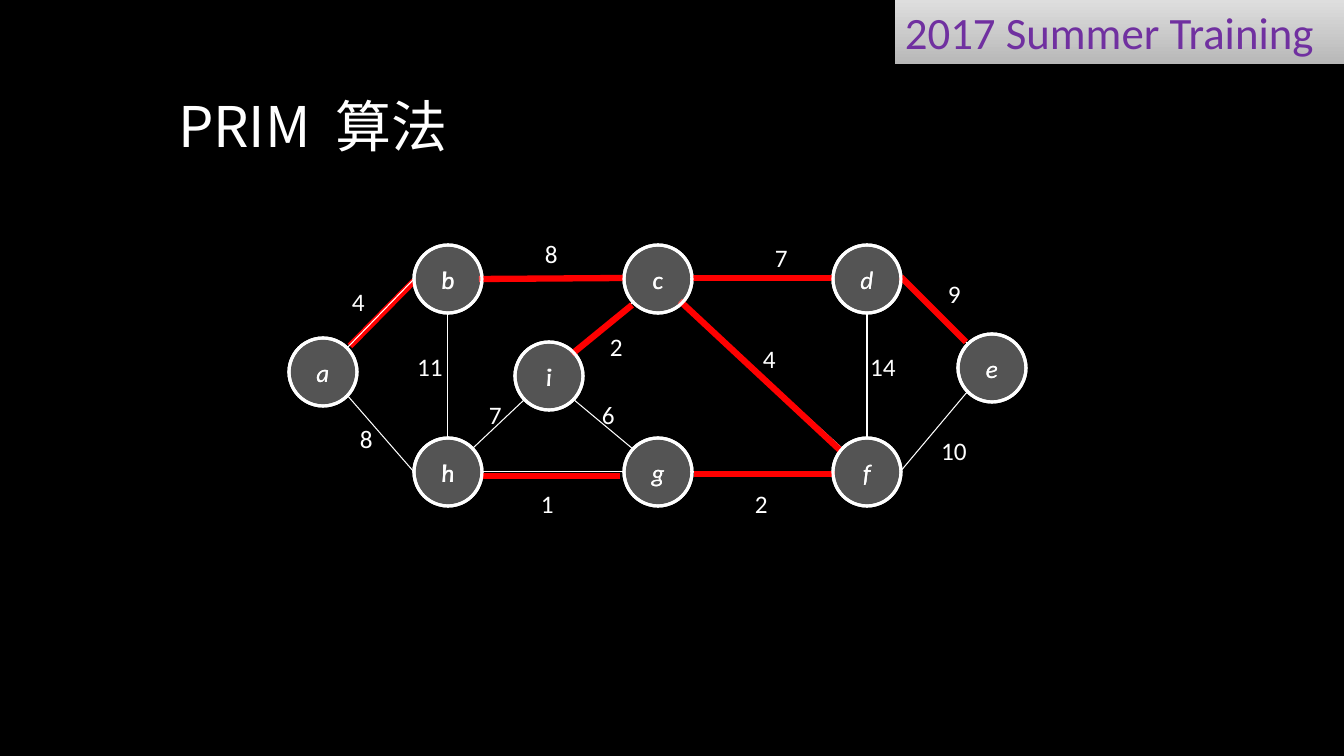
from lxml import etree
from pptx import Presentation
from pptx import util as u
from pptx.dml.color import RGBColor
from pptx.enum import shapes, text
from pptx.oxml import ns

EMU_PER_PX = 914400 / 100.8
BLACK = RGBColor(0x00, 0x00, 0x00)
WHITE = RGBColor(0xFF, 0xFF, 0xFF)
RED = RGBColor(0xFF, 0x00, 0x00)
PURPLE = RGBColor(0x70, 0x30, 0xA0)
VEIL = RGBColor(0xF8, 0xF8, 0xF8)
BANNER_TOP = RGBColor(0xDE, 0xDE, 0xDE)
BANNER_BOTTOM = RGBColor(0xB8, 0xB8, 0xB8)
BODY_FONT, TITLE_FONT = "Calibri", "Noto Sans CJK JP"

# Graph nodes: name -> left, top
NODE_SIZE = 68
COL_1, COL_2, COL_3 = 414, 624, 833
ROW_TOP, ROW_BOTTOM = 245, 438
NODES = {
    "b": (COL_1, ROW_TOP), "c": (COL_2, ROW_TOP), "h": (COL_1, ROW_BOTTOM),
    "i": (515, 342), "f": (COL_3, ROW_BOTTOM), "a": (289, 338),
    "e": (958, 334), "d": (COL_3, ROW_TOP), "g": (COL_2, ROW_BOTTOM),
}
UPRIGHT = "bchi"

# Edges: x1, y1, x2, y2
FIRST_TREE_EDGE = (350, 346, 414, 281)
EDGES = [
    (414, 279, 347, 348), (624, 279, 482, 279), (414, 472, 347, 395),
    (690, 279, 833, 279), (482, 472, 624, 472), (633, 302, 573, 352),
    (525, 399, 472, 449), (448, 312, 448, 438), (900, 279, 968, 344),
    (690, 472, 833, 472), (867, 312, 867, 438), (681, 302, 843, 449),
    (573, 399, 633, 449), (968, 391, 900, 472),
]
TREE_EDGES = [
    (479, 279, 624, 278), (572, 354, 632, 305), (483, 476, 620, 476),
    (692, 278, 833, 278), (680, 301, 841, 451), (694, 474, 835, 474),
    (901, 277, 966, 342),
]

# Edge weights: text, centre x, top
WEIGHTS = [
    ("4", 358, 281), ("8", 551, 233), ("8", 366, 418), ("4", 769, 338),
    ("14", 883, 346), ("7", 781, 237), ("9", 954, 273), ("10", 954, 430),
    ("6", 608, 394), ("7", 495, 394), ("2", 616, 326), ("11", 430, 346),
    ("1", 547, 483), ("2", 761, 483),
]


def px(*values):
    return [u.Emu(round(v * EMU_PER_PX)) for v in values]


def apply(target, formats):
    for name, value in formats.items():
        setattr(target, name, value)


def add_run(p, content, color, **formats):
    r = p.add_run()
    r.text = content
    apply(r.font, {"name": BODY_FONT, "size": u.Pt(18), **formats})
    r.font.color.rgb = color
    return r


def add_title(slide):
    sp = slide.shapes.title
    left, top, width, height = px(168, 62, 757, 126)
    apply(sp, {"left": left, "top": top, "width": width, "height": height})
    tf = sp.text_frame
    apply(tf, {"vertical_anchor": text.MSO_ANCHOR.MIDDLE, "word_wrap": True})
    p = tf.paragraphs[0]
    p.alignment = text.PP_ALIGN.LEFT
    # The gap between the two scripts is widened by character spacing
    for content, spacing in (("PRIM", 0), (" ", 900), ("算法", 0)):
        r = add_run(p, content, WHITE, name=TITLE_FONT, size=u.Pt(40))
        rPr = r.font._element
        rPr.set("spc", str(spacing))
        etree.SubElement(rPr, ns.qn("a:ea"), typeface=TITLE_FONT)


def add_banner(slide):
    sp = slide.shapes.add_shape(shapes.MSO_SHAPE.RECTANGLE, *px(895, 0, 449, 64))
    sp.shadow.inherit = False
    sp.line.fill.background()
    sp.fill.gradient()
    sp.fill.gradient_angle = 270
    for stop, color, position in zip(sp.fill.gradient_stops,
                                     (BANNER_TOP, BANNER_BOTTOM), (0, 1)):
        stop.color.rgb = color
        stop.position = position
    tf = sp.text_frame
    apply(tf, {"vertical_anchor": text.MSO_ANCHOR.TOP, "word_wrap": True})
    p = tf.paragraphs[0]
    p.alignment = text.PP_ALIGN.LEFT
    add_run(p, "2017 Summer Training", PURPLE, size=u.Pt(32))


def add_node(slide, name, fill, italic, opacity=None):
    left, top = NODES[name]
    sp = slide.shapes.add_shape(shapes.MSO_SHAPE.OVAL,
                                *px(left, top, NODE_SIZE, NODE_SIZE))
    sp.shadow.inherit = False
    sp.fill.solid()
    sp.fill.fore_color.rgb = fill
    if opacity:
        color = sp._element.spPr.find(".//" + ns.qn("a:srgbClr"))
        etree.SubElement(color, ns.qn("a:alpha"), val=str(opacity * 1000))
    sp.line.color.rgb = WHITE
    sp.line.width = u.Pt(2.25)
    tf = sp.text_frame
    apply(tf, {"vertical_anchor": text.MSO_ANCHOR.MIDDLE, "word_wrap": False})
    p = tf.paragraphs[0]
    p.alignment = text.PP_ALIGN.CENTER
    add_run(p, name, WHITE, italic=italic)


def add_edge(slide, ends, color, width):
    line = slide.shapes.add_connector(shapes.MSO_CONNECTOR.STRAIGHT, *px(*ends))
    line.line.color.rgb = color
    line.line.width = u.Pt(width)
    etree.SubElement(line._element.spPr, ns.qn("a:effectLst"))


def add_weight(slide, content, center, top):
    width = 32 if len(content) == 1 else 50
    sp = slide.shapes.add_textbox(*px(center - width / 2, top, width, 40))
    tf = sp.text_frame
    tf.word_wrap = False
    p = tf.paragraphs[0]
    p.alignment = text.PP_ALIGN.CENTER
    add_run(p, content, WHITE)


def main():
    prs = Presentation()
    prs.slide_width, prs.slide_height = px(1344, 756)
    slide = prs.slides.add_slide(prs.slide_layouts[5])
    slide.background.fill.solid()
    slide.background.fill.fore_color.rgb = BLACK

    add_banner(slide)
    add_title(slide)

    # Unvisited graph
    for name in NODES:
        add_node(slide, name, BLACK, name not in UPRIGHT)
    add_edge(slide, FIRST_TREE_EDGE, RED, 4.5)
    for ends in EDGES:
        add_edge(slide, ends, WHITE, 0.75)

    # Spanning tree and the veil over visited nodes
    for ends in TREE_EDGES:
        add_edge(slide, ends, RED, 4.5)
    for name in NODES:
        add_node(slide, name, VEIL, True, opacity=34)

    for weight in WEIGHTS:
        add_weight(slide, *weight)

    prs.save("out.pptx")


if __name__ == "__main__":
    main()
